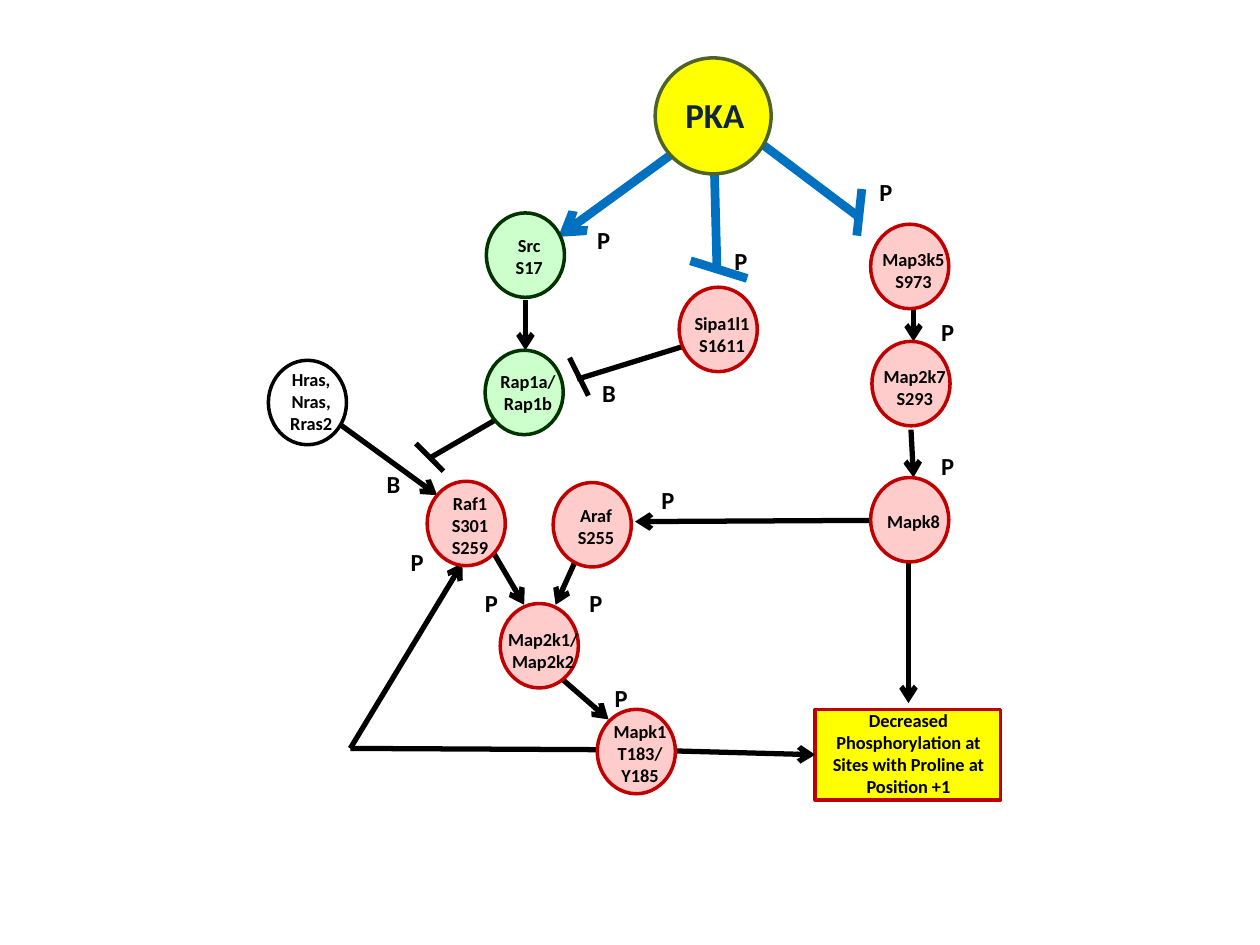
"""Build a slide of the PKA signalling network with its kinase cascade."""
from lxml.etree import SubElement
from pptx import Presentation
from pptx.dml.color import RGBColor
from pptx.enum.shapes import MSO_CONNECTOR as Connector, MSO_SHAPE as Shape
from pptx.enum.text import PP_ALIGN as Align
from pptx.oxml.ns import qn
from pptx.util import Inches, Pt

BLACK = RGBColor(0x00, 0x00, 0x00)
WHITE = RGBColor(0xFF, 0xFF, 0xFF)
YELLOW = RGBColor(0xFF, 0xFF, 0x00)
RED = RGBColor(0xC0, 0x00, 0x00)
PINK = RGBColor(0xFF, 0xCC, 0xCC)
GREEN = RGBColor(0x00, 0x33, 0x00)
MINT = RGBColor(0xCC, 0xFF, 0xCC)
OLIVE = RGBColor(0x4F, 0x62, 0x28)
NAVY = RGBColor(0x0F, 0x24, 0x3E)
BLUE = RGBColor(0x00, 0x70, 0xC0)

FONT = "Calibri"
NODE_WIDTH, NODE_HEIGHT = 0.62, 0.67
LABEL_WIDTH, LABEL_SHIFT = 1.42, 0.37
LINE_HEIGHT, MARGINS = 0.18, 0.1

ACTIVE, INHIBITED, NEUTRAL = (MINT, GREEN), (PINK, RED), (WHITE, BLACK)

# (lines, left, top, label drop, colours)
NODES = [
    (["Src", "S17"], 3.86, 1.69, 0.12, ACTIVE),
    (["Rap1a/", "Rap1b"], 3.85, 2.78, 0.11, ACTIVE),
    (["Hras,", "Nras,", "Rras2"], 2.13, 2.86, 0.01, NEUTRAL),
    (["Raf1", "S301", "S259"], 3.39, 3.82, 0.04, INHIBITED),
    (["Map2k1/", "Map2k2"], 3.97, 4.79, 0.15, INHIBITED),
    (["Mapk1", "T183/", "Y185"], 4.74, 5.63, 0.04, INHIBITED),
    (["Araf", "S255"], 4.39, 3.83, 0.12, INHIBITED),
    (["Map3k5", "S973"], 6.91, 1.78, 0.14, INHIBITED),
    (["Map2k7", "S293"], 6.92, 2.71, 0.14, INHIBITED),
    (["Mapk8"], 6.91, 3.79, 0.21, INHIBITED),
    (["Sipa1l1", "S1611"], 5.39, 2.28, 0.15, INHIBITED),
]

ARROWS = [
    (4.17, 2.38, 4.17, 2.78), (4.45, 5.38, 4.83, 5.71),
    (7.25, 2.38, 7.25, 2.71), (7.23, 3.41, 7.25, 3.79),
    (2.7, 3.37, 3.47, 3.93), (6.91, 4.13, 5.04, 4.14),
    (3.86, 4.29, 4.16, 4.8), (4.64, 4.29, 4.41, 4.8),
    (2.78, 5.94, 3.67, 4.47), (5.36, 5.96, 6.47, 5.99),
    (7.21, 4.46, 7.21, 5.58),
]
BARS = [
    (4.79, 5.95, 2.78, 5.94),
    (3.92, 3.34, 3.42, 3.63), (3.3, 3.52, 3.52, 3.74),
    (5.42, 2.75, 4.58, 3.01), (4.67, 3.14, 4.52, 2.84),
]
PKA_ARROWS = [(5.35, 1.21, 4.43, 1.88)]
PKA_BARS = [
    (6.03, 1.13, 6.8, 1.71), (6.84, 1.5, 6.8, 1.87),
    (5.67, 1.34, 5.69, 2.12), (5.48, 2.07, 5.93, 2.21),
]
LINKS = [
    (ARROWS, BLACK, 3, True), (BARS, BLACK, 3, False),
    (PKA_ARROWS, BLUE, 5, True), (PKA_BARS, BLUE, 5, False),
]

MARKS = {
    "P": [(3.75, 4.62), (5.15, 3.8), (4.58, 4.62), (7.37, 2.47),
          (4.64, 1.74), (6.88, 1.36), (4.78, 5.37), (3.16, 4.29),
          (7.37, 3.53), (5.73, 1.9)],
    "B": [(4.68, 2.95), (2.97, 3.67)],
}
OUTCOME = "Decreased Phosphorylation at Sites with Proline at Position +1"


def add_link(shapes, ends, color, width, arrow):
    link = shapes.add_connector(Connector.STRAIGHT, *map(Inches, ends))
    link.line.color.rgb = color
    link.line.width = Pt(width)
    if arrow:
        SubElement(link.line._get_or_add_ln(), qn("a:tailEnd"), type="arrow")
    SubElement(link._element.spPr, qn("a:effectLst"))


def add_outline(shapes, kind, area, fill, line):
    outline = shapes.add_shape(kind, *map(Inches, area))
    outline.shadow.inherit = False
    outline.fill.solid()
    outline.fill.fore_color.rgb = fill
    outline.line.color.rgb = line
    outline.line.width = Pt(2)


def add_label(shapes, lines, area, size, color=BLACK, align=Align.CENTER):
    box = shapes.add_textbox(*map(Inches, area))
    frame = box.text_frame
    frame.word_wrap = True
    frame.text = "\n".join(lines)
    for para in frame.paragraphs:
        para.alignment = align
        para.font.name = FONT
        para.font.size = Pt(size)
        para.font.bold = True
        para.font.color.rgb = color


def add_node(page, lines, left, top, drop, colors):
    group = page.shapes.add_group_shape().shapes
    add_outline(group, Shape.OVAL, (left, top, NODE_WIDTH, NODE_HEIGHT), *colors)
    height = len(lines) * LINE_HEIGHT + MARGINS
    add_label(group, lines, (left - LABEL_SHIFT, top + drop, LABEL_WIDTH, height), 10.5)


def main():
    deck = Presentation()
    deck.slide_width, deck.slide_height = Inches(10), Inches(7.5)
    page = deck.slides.add_slide(deck.slide_layouts[6])

    outcome = page.shapes.add_group_shape().shapes
    add_outline(outcome, Shape.RECTANGLE, (6.47, 5.63, 1.47, 0.72), YELLOW, RED)
    add_label(outcome, [OUTCOME], (6.5, 5.58, LABEL_WIDTH, 0.82), 10.5)

    for links, color, width, arrow in LINKS:
        for ends in links:
            add_link(page.shapes, ends, color, width, arrow)
    for node in NODES:
        add_node(page, *node)

    source = page.shapes.add_group_shape().shapes
    add_outline(source, Shape.OVAL, (5.2, 0.46, 0.92, 0.92), YELLOW, OLIVE)
    add_label(source, ["PKA"], (5.34, 0.69, 0.69, 0.44), 20, NAVY, Align.LEFT)

    for mark, places in MARKS.items():
        for left, top in places:
            add_label(page.shapes, [mark], (left, top, 0.62, 0.34), 14, align=Align.LEFT)

    deck.save("out.pptx")


if __name__ == "__main__":
    main()
